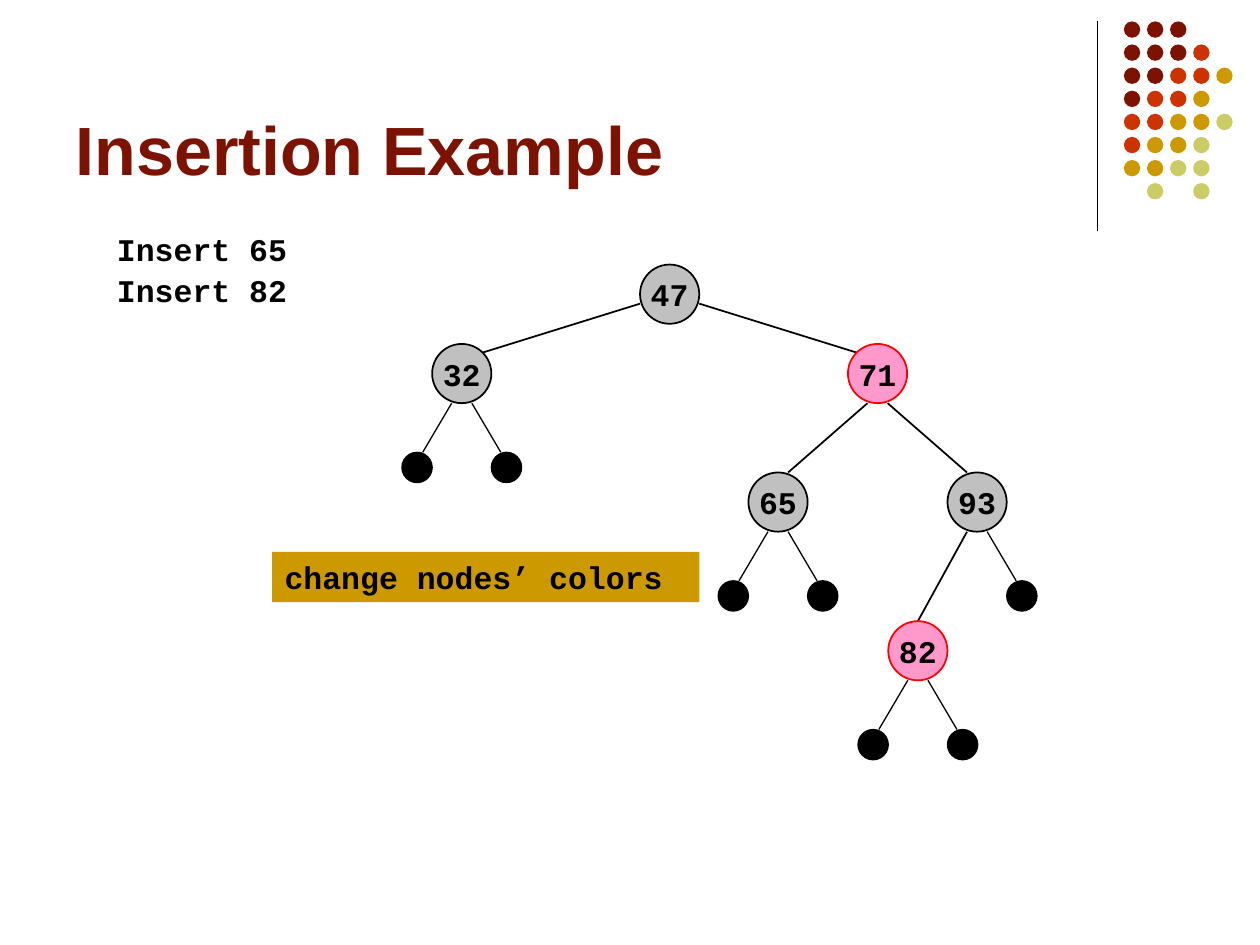
from dataclasses import dataclass

from lxml import etree
from pptx import Presentation
from pptx.dml.color import RGBColor
from pptx.enum import shapes, text
from pptx.oxml.ns import qn
from pptx.util import Inches, Pt


@dataclass(frozen=True)
class Theme:
    maroon: str = "7C1302"
    rust: str = "CC3300"
    gold: str = "CC9900"
    olive: str = "CCCC66"
    black: str = "000000"
    gray: str = "C0C0C0"
    pink: str = "FF99CC"
    red: str = "FF0000"
    title_font: str = "Arial"
    code_font: str = "Courier New"
    title_size: float = 39
    code_size: float = 18


THEME = Theme()
NODE_SIZE = 0.47
LEAF_SIZE = 0.24
RADIUS = NODE_SIZE / 2

NODES = {
    "82": (7.05, 4.93, True),
    "47": (5.08, 2.1, False),
    "32": (3.43, 2.73, False),
    "65": (5.94, 3.75, False),
    "71": (6.73, 2.73, True),
    "93": (7.52, 3.75, False),
}
EDGES = [
    ("47", (-RADIUS, 0.31), "32", (0.16, 0.07)),
    ("47", (RADIUS, 0.31), "71", (-0.16, 0.07)),
    ("71", (-0.08, NODE_SIZE), "65", (0.08, 0)),
    ("71", (0.08, NODE_SIZE), "93", (-0.08, 0)),
    ("93", (-0.08, NODE_SIZE), "82", (0, 0)),
]
LEAVES = [("32", (-1, 1)), ("65", (-1, 1)), ("82", (-1, 1)), ("93", (1,))]
DOT_ROWS = ["MMM", "MMMR", "MMRRG", "MRRG", "RRGGO", "RGGO", "GGOO", " O O"]


def style_text(para, font, size, color):
    for span in para.runs:
        span.font.name = font
        span.font.size = Pt(size)
        span.font.bold = True
        span.font.color.rgb = RGBColor.from_string(color)


def write_code(frame, words):
    frame.text = words
    style_text(frame.paragraphs[0], THEME.code_font, THEME.code_size, THEME.black)


def add_line(slide, start, end, width):
    line = slide.shapes.add_connector(
        shapes.MSO_CONNECTOR.STRAIGHT, *(Inches(value) for value in start + end)
    )
    line.line.color.rgb = RGBColor.from_string(THEME.black)
    line.line.width = Pt(width)
    etree.SubElement(line._element.spPr, qn("a:effectLst"))


def add_block(slide, kind, place, fill, outline=None, width=1):
    block = slide.shapes.add_shape(kind, *(Inches(value) for value in place))
    block.shadow.inherit = False
    block.fill.solid()
    block.fill.fore_color.rgb = RGBColor.from_string(fill)
    if outline:
        block.line.color.rgb = RGBColor.from_string(outline)
        block.line.width = Pt(width)
    else:
        block.line.fill.background()
    return block


def add_circle(slide, left, top, size, fill, outline=None, width=1):
    place = (left, top, size, size)
    return add_block(slide, shapes.MSO_SHAPE.OVAL, place, fill, outline, width)


def add_corner_dots(slide):
    colors = {"M": THEME.maroon, "R": THEME.rust, "G": THEME.gold, "O": THEME.olive}
    pitch = 0.55 / 3
    add_line(slide, (8.71, 0.17), (8.71, 1.83), 0.75)
    for row, letters in enumerate(DOT_ROWS):
        for column, letter in enumerate(letters):
            if letter in colors:
                left, top = 8.92 + column * pitch, 0.17 + row * pitch
                add_circle(slide, left, top, 0.13, colors[letter])


def add_title(slide, words):
    title = slide.shapes.title
    title.left, title.top = Inches(0.5), Inches(0.13)
    title.width, title.height = Inches(8.25), Inches(1.42)
    frame = title.text_frame
    frame.text = words
    frame.auto_size = text.MSO_AUTO_SIZE.NONE
    frame.vertical_anchor = text.MSO_ANCHOR.BOTTOM
    para = frame.paragraphs[0]
    para.alignment = text.PP_ALIGN.LEFT
    style_text(para, THEME.title_font, THEME.title_size, THEME.maroon)


def add_step(slide, top, words):
    box = slide.shapes.add_textbox(Inches(0.83), Inches(top), Inches(2.6), Inches(0.4))
    box.text_frame.word_wrap = True
    write_code(box.text_frame, words)


def add_banner(slide, words):
    place = (2.16, 4.38, 3.39, 0.4)
    banner = add_block(slide, shapes.MSO_SHAPE.RECTANGLE, place, THEME.gold)
    frame = banner.text_frame
    write_code(frame, words)
    frame.vertical_anchor = text.MSO_ANCHOR.TOP
    frame.paragraphs[0].alignment = text.PP_ALIGN.LEFT


def anchor(key, offset):
    left, top, _ = NODES[key]
    return left + RADIUS + offset[0], top + offset[1]


def add_node(slide, key):
    left, top, is_red = NODES[key]
    fill, outline = (THEME.pink, THEME.red) if is_red else (THEME.gray, THEME.black)
    node = add_circle(slide, left, top, NODE_SIZE, fill, outline)
    frame = node.text_frame
    write_code(frame, key)
    frame.word_wrap = False
    frame.margin_left = frame.margin_right = Inches(0.02)
    frame.margin_top = frame.margin_bottom = 0
    frame.vertical_anchor = text.MSO_ANCHOR.MIDDLE
    frame.paragraphs[0].alignment = text.PP_ALIGN.CENTER


def add_leaf(slide, parent, side):
    leaf_top = NODE_SIZE + 0.39
    start = anchor(parent, (side * 0.08, NODE_SIZE))
    end = anchor(parent, (side * 0.31, leaf_top))
    add_line(slide, start, end, 0.75)
    center, top = anchor(parent, (side * 0.355, leaf_top))
    left = center - LEAF_SIZE / 2
    add_circle(slide, left, top, LEAF_SIZE, THEME.black, THEME.black, 0.75)


def add_tree(slide):
    for parent, start, child, end in EDGES:
        add_line(slide, anchor(parent, start), anchor(child, end), 1)
    for key in NODES:
        add_node(slide, key)
    for parent, sides in LEAVES:
        for side in sides:
            add_leaf(slide, parent, side)


def main():
    deck = Presentation()
    deck.slide_width, deck.slide_height = Inches(10), Inches(7.5)
    slide = deck.slides.add_slide(deck.slide_layouts.get_by_name("Title Only"))
    add_corner_dots(slide)
    add_title(slide, "Insertion Example")
    add_step(slide, 1.78, "Insert 65")
    add_step(slide, 2.1, "Insert 82")
    add_tree(slide)
    add_banner(slide, "change nodes’ colors")
    deck.save("out.pptx")


if __name__ == "__main__":
    main()
